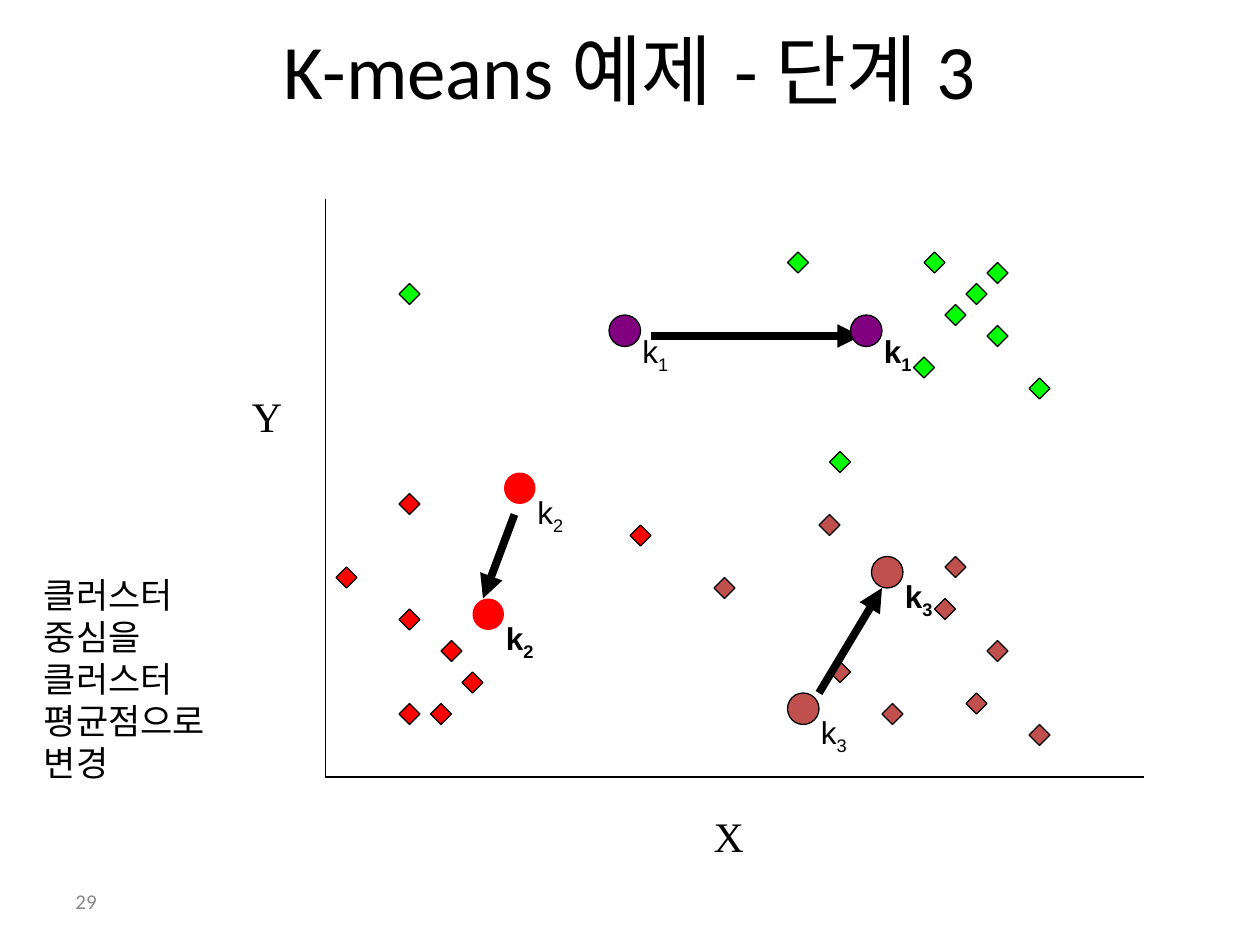
from pptx import Presentation
from pptx import util as u
from pptx.dml import color as c
from pptx.enum import lang, shapes, text
from pptx.oxml import ns
from lxml import etree

BLACK, GREEN, RED, BROWN, PURPLE = "000000", "00FF00", "FF0000", "C0504D", "800080"
KOREAN = lang.MSO_LANGUAGE_ID.KOREAN
POINTS = {
    RED: [(42, 61), (44, 64), (41, 67), (38, 58), (38, 47), (38, 67), (32, 54), (60, 50)],
    GREEN: [(38, 27), (88, 24), (94, 25), (92, 27), (90, 29), (94, 31), (98, 36),
            (75, 24), (79, 43), (87, 34)],
    BROWN: [(79, 63), (84, 67), (89, 57), (78, 49), (68, 55), (94, 61), (92, 66),
            (90, 53), (98, 69)],
}
MOVES = [((62, 32), (82, 32)), ((49, 49), (46, 57)), ((78, 66), (84, 56))]
AXES = [((31, 19), (31, 74)), ((31, 74), (109, 74))]
CENTROIDS = [
    ("1", PURPLE, BLACK, 5.3, (58, 30), (81, 30)),
    ("2", RED, None, 6, (48, 45), (45, 57)),
    ("3", BROWN, BLACK, 6, (75, 66), (83, 53)),
]


def rgb(value):
    """Turn a hex string into a colour."""
    return c.RGBColor.from_string(value)


def grid(*cells):
    """Convert counts of grid cells, twelve to the inch, into lengths."""
    return [u.Inches(cell / 12) for cell in cells]


def apply(target, values):
    """Set each named attribute on the target."""
    for name, value in values.items():
        setattr(target, name, value)


def add_marker(slide, kind, column, row, size, fill, line):
    """Draw a square-sized data marker."""
    shape = slide.shapes.add_shape(kind, *grid(column, row, size, size))
    shape.shadow.inherit = False
    shape.fill.solid()
    shape.fill.fore_color.rgb = rgb(fill)
    if line:
        shape.line.color.rgb = rgb(line)
        shape.line.width = u.Pt(0.75)
    else:
        shape.line.fill.background()


def add_line(slide, start, end, width, arrow=False):
    """Draw a straight black line, with an arrowhead at its end if asked."""
    line = slide.shapes.add_connector(
        shapes.MSO_CONNECTOR.STRAIGHT, *grid(*start, *end))
    line.line.color.rgb = rgb(BLACK)
    line.line.width = u.Pt(width)
    if arrow:
        etree.SubElement(line.line._get_or_add_ln(), ns.qn("a:tailEnd"), type="triangle")
    etree.SubElement(line._element.spPr, ns.qn("a:effectLst"))


def add_run(paragraph, words, color, **font):
    """Append a formatted run and return it."""
    run = paragraph.add_run()
    run.text = words
    apply(run.font, font)
    run.font.color.rgb = rgb(color)
    return run


def add_text(slide, cells, words, size, name, color=BLACK,
             anchor=text.MSO_ANCHOR.TOP, align=text.PP_ALIGN.LEFT, **font):
    """Add a text box and return its paragraph."""
    frame = slide.shapes.add_textbox(*grid(*cells)).text_frame
    apply(frame, {"word_wrap": True, "vertical_anchor": anchor})
    paragraph = frame.paragraphs[0]
    paragraph.alignment = align
    add_run(paragraph, words, color, size=u.Pt(size), name=name, **font)
    return paragraph


def add_centroid(slide, index, fill, line, height, position, bold):
    """Draw a cluster centre with its subscripted label."""
    column, row = position
    add_marker(slide, shapes.MSO_SHAPE.OVAL, column, row, 3, fill, line)
    paragraph = add_text(slide, (column + 2, row + 1, 7, height), "k", 18, "Arial",
                         anchor=text.MSO_ANCHOR.MIDDLE, bold=bold)
    run = add_run(paragraph, index, BLACK, size=u.Pt(18), name="Arial", bold=bold)
    run._r.get_or_add_rPr().set("baseline", "-25000")


def main():
    """Build the slide and save it."""
    presentation = Presentation()
    apply(presentation, {"slide_width": u.Inches(10), "slide_height": u.Inches(7.5)})
    slide = presentation.slides.add_slide(presentation.slide_layouts[6])
    middle = text.MSO_ANCHOR.MIDDLE

    add_text(slide, (6, 83.4, 28, 4.8), "29", 12, "Calibri", "898989", middle)
    title = add_text(slide, (9, 3, 102, 7), "K-means 예제 - 단계", 44, "Calibri",
                     anchor=middle, align=text.PP_ALIGN.CENTER, language_id=KOREAN)
    for words, size in ((" ", 40), ("3", 44)):
        add_run(title, words, BLACK, size=u.Pt(size), name="Calibri", language_id=KOREAN)

    for fill, positions in POINTS.items():
        for column, row in positions:
            add_marker(slide, shapes.MSO_SHAPE.DIAMOND, column, row, 2, fill, BLACK)
    for start, end in MOVES:
        add_line(slide, start, end, 4.5, arrow=True)
    for start, end in AXES:
        add_line(slide, start, end, 0.75)
    for name, column, row in (("X", 66.8, 76.6), ("Y", 22.8, 36.6)):
        add_text(slide, (column, row, 5.3, 6), name, 24, "Times New Roman")
    for index, fill, line, height, before, after in CENTROIDS:
        add_centroid(slide, index, fill, line, height, before, False)
        add_centroid(slide, index, fill, line, height, after, True)

    add_text(slide, (3, 54, 21, 21.2), "클러스터 중심을 클러스터 평균점으로 변경", 20,
             "Times New Roman", language_id=KOREAN)
    presentation.save("out.pptx")


if __name__ == "__main__":
    main()
